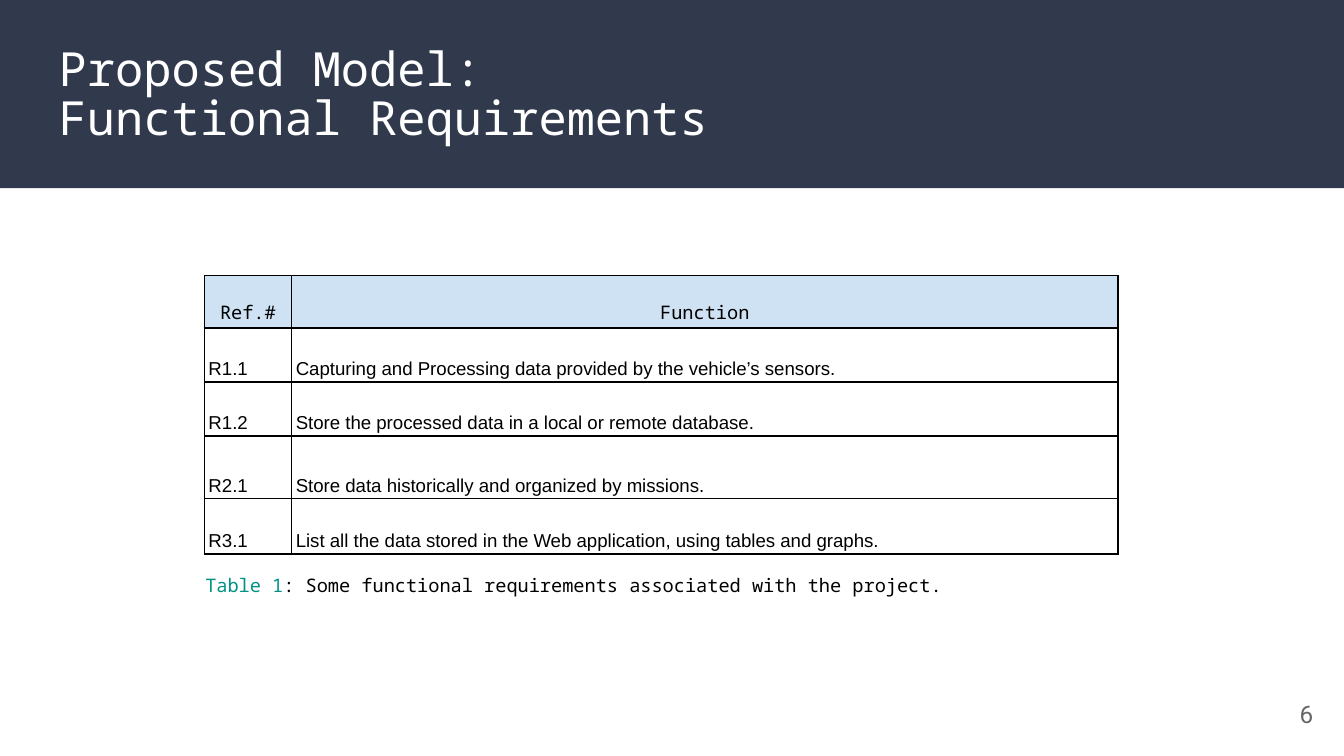
"""Build the functional requirements slide with its title band, table and caption."""
from lxml.etree import SubElement
from pptx import Presentation
from pptx.dml.color import RGBColor
from pptx.enum.shapes import MSO_SHAPE as Shape
from pptx.enum.text import MSO_ANCHOR as Anchor, MSO_AUTO_SIZE as AutoSize, PP_ALIGN as Align
from pptx.oxml.ns import qn
from pptx.util import Cm, Pt

NAVY = RGBColor(0x31, 0x39, 0x4D)
WHITE = RGBColor(0xFF, 0xFF, 0xFF)
BLACK = RGBColor(0x00, 0x00, 0x00)
GREY = RGBColor(0x66, 0x66, 0x66)
TEAL = RGBColor(0x00, 0x93, 0x84)
PALE_BLUE = RGBColor(0xCF, 0xE2, 0xF3)
MONO = "Noto Sans Mono"


def add_run(para, text, font_name, size, color):
    run = para.add_run()
    run.text = text
    run.font.name = font_name
    run.font.size = Pt(size)
    run.font.color.rgb = color


def set_insets(target, horizontal, vertical):
    target.margin_left = target.margin_right = Cm(horizontal)
    target.margin_top = target.margin_bottom = Cm(vertical)


deck = Presentation()
deck.slide_width, deck.slide_height = Cm(25.4), Cm(14.29)
page = deck.slides.add_slide(deck.slide_layouts[5])

band = page.shapes.add_shape(Shape.RECTANGLE, 0, 0, deck.slide_width, Cm(3.56))
band.shadow.inherit = False
band.fill.solid()
band.fill.fore_color.rgb = NAVY
band.line.fill.background()

title = page.shapes.title
band._element.addnext(title._element)
title.left, title.top, title.width, title.height = Cm(0.86), Cm(0.53), Cm(23.67), Cm(1.73)
frame = title.text_frame
frame.word_wrap = True
frame.auto_size = AutoSize.NONE
frame.vertical_anchor = Anchor.TOP
set_insets(frame, 0.25, 0.25)
frame.margin_top = Cm(0.36)
para = frame.paragraphs[0]
para.alignment = Align.LEFT
para.line_spacing = 0.87
add_run(para, "Proposed Model:", MONO, 25.2, WHITE)
para.add_line_break()
add_run(para, "Functional Requirements", MONO, 25.2, WHITE)

number_box = page.shapes.add_textbox(Cm(23.55), Cm(12.95), Cm(1.52), Cm(1.09))
frame = number_box.text_frame
frame.word_wrap = True
frame.vertical_anchor = Anchor.MIDDLE
set_insets(frame, 0.25, 0.25)
para = frame.paragraphs[0]
para.alignment = Align.RIGHT
add_run(para, "6", "Roboto", 13, GREY)

caption_box = page.shapes.add_textbox(Cm(3.63), Cm(10.64), Cm(15.21), Cm(0.94))
frame = caption_box.text_frame
frame.word_wrap = True
set_insets(frame, 0.25, 0.25)
para = frame.paragraphs[0]
add_run(para, "Table 1", MONO, 10, TEAL)
add_run(para, ": Some functional requirements associated with the project.", MONO, 10, BLACK)

requirements = [
    ("Ref.#", "Function"),
    ("R1.1", "Capturing and Processing data provided by the vehicle’s sensors."),
    ("R1.2", "Store the processed data in a local or remote database."),
    ("R2.1", "Store data historically and organized by missions."),
    ("R3.1", "List all the data stored in the Web application, using tables and graphs."),
]
column_widths = [1.65, 15.62]
row_heights = [0.99, 1.02, 1.02, 1.19, 1.04]
table = page.shapes.add_table(
    len(requirements), len(column_widths), Cm(3.86), Cm(5.21),
    Cm(sum(column_widths)), Cm(sum(row_heights)),
).table
table.first_row = table.horz_banding = False
for column, width in zip(table.columns, column_widths):
    column.width = Cm(width)

for row, height, texts in zip(table.rows, row_heights, requirements):
    row.height = Cm(height)
    is_header = texts is requirements[0]
    for cell, text in zip(row.cells, texts):
        cell.vertical_anchor = Anchor.BOTTOM
        set_insets(cell, 0.08, 0.05)
        properties = cell._tc.get_or_add_tcPr()
        for side in ("a:lnL", "a:lnR", "a:lnT", "a:lnB"):
            border = SubElement(properties, qn(side), w=str(Pt(0.75)))
            fill = SubElement(border, qn("a:solidFill"))
            SubElement(fill, qn("a:srgbClr"), val=str(BLACK))
        if is_header:
            cell.fill.solid()
            cell.fill.fore_color.rgb = PALE_BLUE
        else:
            cell.fill.background()
        para = cell.text_frame.paragraphs[0]
        para.alignment = Align.CENTER if is_header else Align.LEFT
        para.line_spacing = 1.15
        add_run(para, text, MONO if is_header else "Arial", 10, BLACK)

deck.save("out.pptx")
